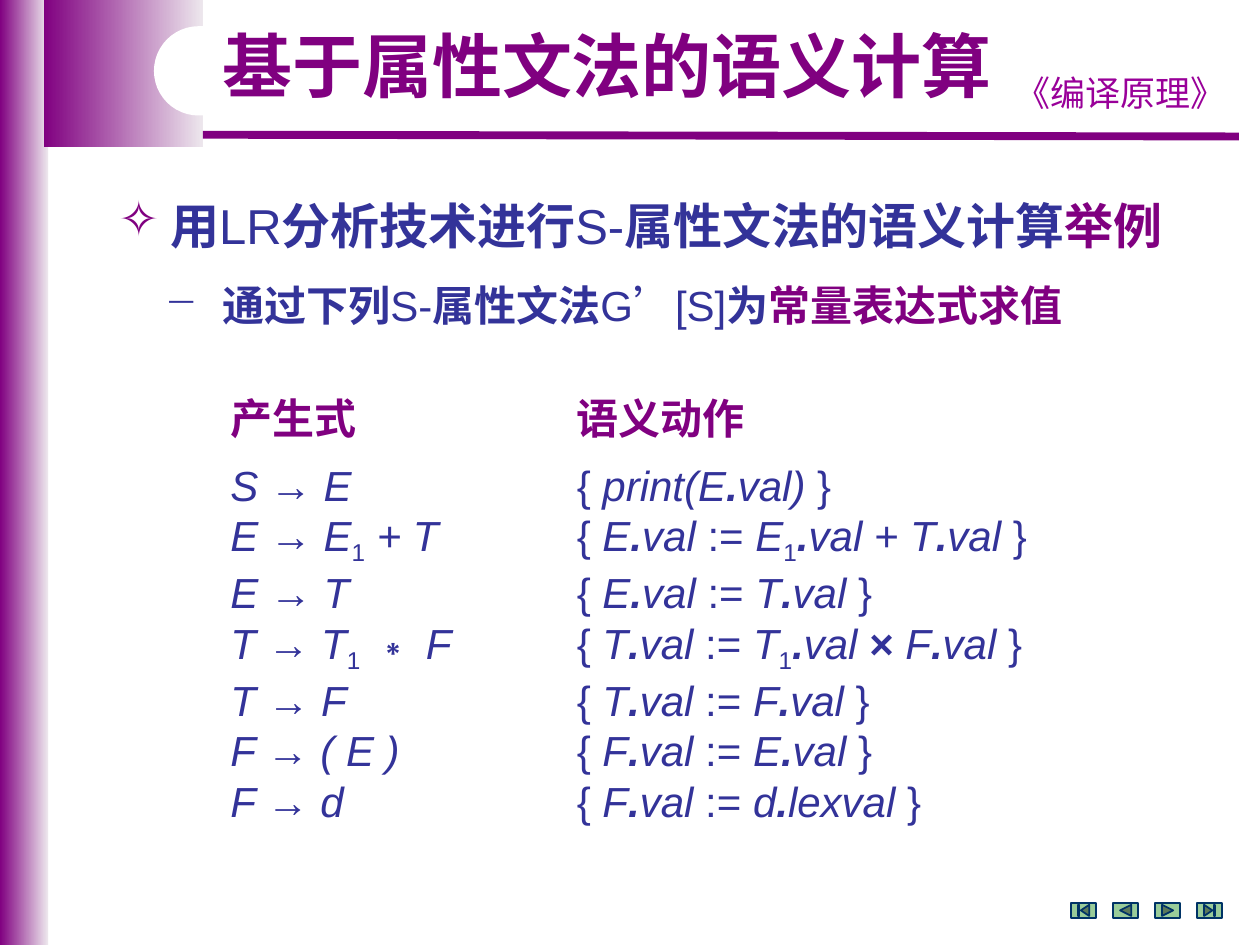
from dataclasses import dataclass
from itertools import groupby

from lxml import etree
from pptx import Presentation
from pptx.dml.color import RGBColor
from pptx.enum.shapes import MSO_CONNECTOR, MSO_SHAPE
from pptx.enum.text import MSO_AUTO_SIZE, PP_ALIGN
from pptx.oxml.ns import qn
from pptx.util import Pt

RECT = MSO_SHAPE.RECTANGLE
ROUNDED = MSO_SHAPE.ROUNDED_RECTANGLE
STRAIGHT = MSO_CONNECTOR.STRAIGHT
GROW = MSO_AUTO_SIZE.SHAPE_TO_FIT_TEXT
CENTER = PP_ALIGN.CENTER

PURPLE, BLUE, PALE = "800080", "333399", "EDE7ED"
CJK_FONT = "Noto Sans CJK SC"


@dataclass
class Column:
    left: float
    width: float
    heading: str
    rows: tuple[str, ...]


COLUMNS = (
    Column(124.5, 181.5, "产生式", (
        "S → E", "E → E1 + T", "E → T", "T → T1 ∗ F",
        "T → F", "F → ( E )", "F → d")),
    Column(322.5, 289.5, "语义动作", (
        "{ print(E.val) }", "{ E.val := E1.val + T.val }",
        "{ E.val := T.val }", "{ T.val := T1.val × F.val }",
        "{ T.val := F.val }", "{ F.val := E.val }", "{ F.val := d.lexval }")),
)

BUTTONS = (
    MSO_SHAPE.ACTION_BUTTON_BEGINNING,
    MSO_SHAPE.ACTION_BUTTON_BACK_OR_PREVIOUS,
    MSO_SHAPE.ACTION_BUTTON_FORWARD_OR_NEXT,
    MSO_SHAPE.ACTION_BUTTON_END,
)


def rgb(color: str) -> RGBColor:
    return RGBColor.from_string(color)


def add_shape(slide, kind, left: float, top: float, width: float, height: float,
              fill: str, fade: str | None = None, line: str | None = None):
    sp = slide.shapes.add_shape(kind, Pt(left), Pt(top), Pt(width), Pt(height))
    sp.shadow.inherit = False
    if fade:
        sp.fill.gradient()
        sp.fill.gradient_angle = 0
        for stop, color in zip(sp.fill.gradient_stops, (fill, fade)):
            stop.color.rgb = rgb(color)
    else:
        sp.fill.solid()
        sp.fill.fore_color.rgb = rgb(fill)
    if line:
        sp.line.color.rgb = rgb(line)
        sp.line.width = Pt(1)
    else:
        sp.line.fill.background()
    return sp


def add_box(slide, left: float, top: float, width: float, height: float):
    tf = slide.shapes.add_textbox(Pt(left), Pt(top), Pt(width), Pt(height)).text_frame
    tf.word_wrap = True
    tf.auto_size = GROW
    return tf


def add_run(p, text: str, *, size: float, color: str, bold: bool = False,
            italic: bool = False, sub: bool = False, font: str = "Arial",
            east_asian: bool = True) -> None:
    r = p.add_run()
    r.text = text
    r.font.size = Pt(size)
    r.font.name = font
    r.font.bold = bold
    r.font.italic = italic
    r.font.color.rgb = rgb(color)
    rpr = r.font._element
    if east_asian:
        etree.SubElement(rpr, qn("a:ea")).set("typeface", CJK_FONT)
    if sub:
        rpr.set("baseline", "-25000")


def set_bullet(p, char: str, indent: float) -> None:
    ppr = p._p.get_or_add_pPr()
    ppr.set("marL", str(Pt(indent)))
    ppr.set("indent", str(-Pt(indent)))
    etree.SubElement(ppr, qn("a:buChar")).set("char", char)


def symbol_format(char: str) -> tuple[bool, bool, bool]:
    """Bold, italic and subscript of one character of a formula."""
    return char in ".×", char not in "→∗{}:=×1", char == "1"


def add_formula(p, text: str) -> None:
    for (bold, italic, sub), chars in groupby(text, symbol_format):
        add_run(p, "".join(chars), size=24, color=BLUE, bold=bold,
                italic=italic, sub=sub, east_asian=False)


def add_column(slide, col: Column) -> None:
    tf = add_box(slide, col.left, 221, col.width, 247)
    add_run(tf.paragraphs[0], col.heading, size=24, color=PURPLE, bold=True)
    for i, row in enumerate(col.rows):
        p = tf.add_paragraph()
        if i == 0:
            p.space_before = Pt(9)
        add_formula(p, row)


def add_mixed(p, size: float, *parts: tuple[str, str, bool]) -> None:
    for text, color, bold in parts:
        add_run(p, text, size=size, color=color, bold=bold)


def main() -> None:
    prs = Presentation()
    prs.slide_width, prs.slide_height = Pt(720), Pt(540)
    slide = prs.slides.add_slide(prs.slide_layouts[6])

    # Frame: side band, corner block, rule and rounded title plate
    add_shape(slide, RECT, 0, 0, 27.5, 540, PURPLE, fade=PALE)
    add_shape(slide, RECT, 25, 0, 91, 84, PURPLE, fade=PALE)
    rule = slide.shapes.add_connector(STRAIGHT, Pt(116), Pt(77), Pt(708), Pt(78))
    rule.line.color.rgb = rgb(PURPLE)
    rule.line.width = Pt(4.5)
    etree.SubElement(rule._element.spPr, qn("a:effectLst"))
    plate = add_shape(slide, ROUNDED, 88, 15, 260.5, 51, "FFFFFF")
    plate.adjustments[0] = 0.5

    # Course name and title
    p = add_box(slide, 569.5, 37.5, 142, 31).paragraphs[0]
    p.alignment = CENTER
    add_run(p, "《编译原理》", size=20, color="990099", font="Comic Neue")
    p = add_box(slide, 120, 15, 460, 50.5).paragraphs[0]
    p.line_spacing = 0.9
    add_run(p, "基于属性文法的语义计算", size=40, color=PURPLE, bold=True)

    # Topic and its sub-point
    p = add_box(slide, 60.5, 108, 636, 41).paragraphs[0]
    set_bullet(p, "✧", 18)
    add_run(p, " ", size=28, color=PURPLE, bold=True, font=CJK_FONT)
    add_mixed(p, 28, ("用", BLUE, True), ("LR", BLUE, False),
              ("分析技术进行", BLUE, True), ("S-", BLUE, False),
              ("属性文法的语义计算", BLUE, True), ("举例", PURPLE, True))
    p = add_box(slide, 87, 156, 579, 36).paragraphs[0]
    set_bullet(p, "−", 33)
    etree.SubElement
    add_mixed(p, 24, ("通过下列", BLUE, True), ("S-", BLUE, False),
              ("属性文法", BLUE, True), ("G’[S]", BLUE, False),
              ("为", BLUE, True), ("常量表达式求值", PURPLE, True))

    # Productions and semantic actions
    for col in COLUMNS:
        add_column(slide, col)

    # Navigation buttons
    for i, kind in enumerate(BUTTONS):
        add_shape(slide, kind, 612 + 24 * i, 516, 14.5, 8.5, "99CC99", line="003366")

    prs.save("out.pptx")


if __name__ == "__main__":
    main()
